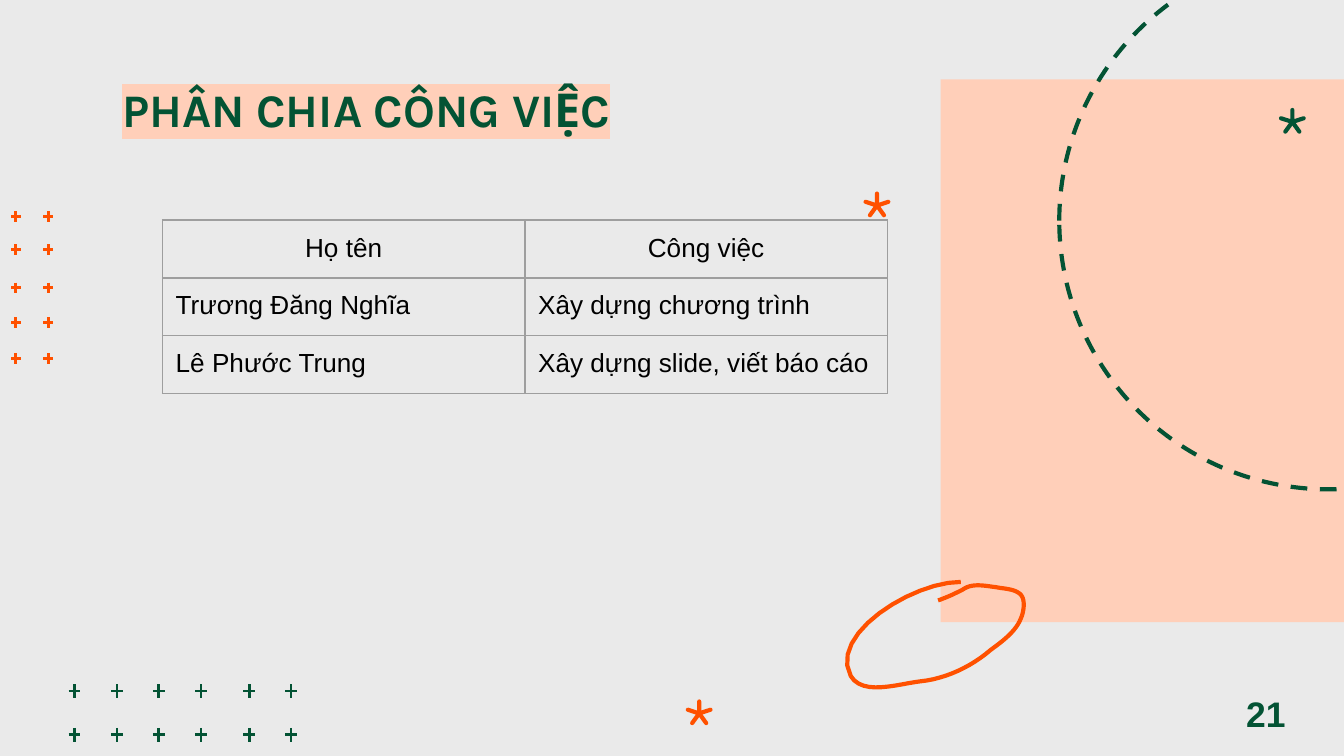
from dataclasses import dataclass
from itertools import product

from lxml import etree
from pptx import Presentation
from pptx.dml.color import RGBColor
from pptx.enum import dml, shapes, text
from pptx.oxml import ns
from pptx.util import Cm, Pt


@dataclass(frozen=True)
class Theme:
    paper: str = "EAEAEA"
    green: str = "035334"
    orange: str = "FF5100"
    peach: str = "FFCFB9"
    ink: str = "000000"
    grid: str = "9E9E9E"
    title_font: str = "Karla"
    body_font: str = "Arial"
    title_size: int = 25
    number_size: int = 19
    table_size: int = 14
    thin: float = 1.5
    thick: float = 2.25


THEME = Theme()
ROWS = [
    ("Họ tên", "Công việc"),
    ("Trương Đăng Nghĩa", "Xây dựng chương trình"),
    ("Lê Phước Trung", "Xây dựng slide, viết báo cáo"),
]
# Hand-drawn loop in cm: a start, then two control points and an end per curve
LOOP_START = (18.16, 11)
LOOP_CURVES = [
    ((17.25, 11), (15.65, 11.99), (16.08, 12.78)),
    ((16.31, 13.16), (16.97, 12.93), (17.4, 12.88)),
    ((17.88, 12.83), (18.36, 12.6), (18.72, 12.29)),
    ((18.95, 12.12), (19.2, 11.94), (19.3, 11.68)),
    ((19.35, 11.56), (19.38, 11.35), (19.3, 11.25)),
    ((19.2, 11.13), (18.97, 11.13), (18.82, 11.1)),
    ((18.59, 11.07), (18.36, 11.02), (18.19, 11.15)),
    ((18.03, 11.23), (17.88, 11.3), (17.73, 11.35)),
]


def rgb(color):
    return RGBColor.from_string(color)


def paint(shape, fill=None, line=None):
    shape.shadow.inherit = False
    if fill:
        shape.fill.solid()
        shape.fill.fore_color.rgb = rgb(fill)
    else:
        shape.fill.background()
    if line:
        shape.line.color.rgb = rgb(line)
        shape.line.width = Pt(THEME.thick)
    else:
        shape.line.fill.background()


def add_preset(page, kind, left, top, width, height, fill=None, line=None):
    shape = page.shapes.add_shape(kind, Cm(left), Cm(top), Cm(width), Cm(height))
    paint(shape, fill, line)
    return shape


def add_star(page, left, top, color):
    star = add_preset(page, shapes.MSO_SHAPE.STAR_5_POINT, left, top, 0.43, 0.41, color, color)
    star.adjustments[0] = 0


def add_line(page, x1, y1, x2, y2, color):
    line = page.shapes.add_connector(
        shapes.MSO_CONNECTOR.STRAIGHT, Cm(x1), Cm(y1), Cm(x2), Cm(y2))
    line.line.color.rgb = rgb(color)
    line.line.width = Pt(THEME.thin)
    etree.SubElement(line._element.spPr, ns.qn("a:effectLst"))


def add_pluses(page, columns, rows, half_width, half_height, color):
    for y, x in product(rows, columns):
        add_line(page, x, y - half_height, x, y + half_height, color)
        add_line(page, x - half_width, y, x + half_width, y, color)


def curve_points(start, curves, steps=12):
    points = []
    for first, second, end in curves:
        for step in range(1, steps + 1):
            t = step / steps
            weights = ((1 - t) ** 3, 3 * t * (1 - t) ** 2, 3 * t * t * (1 - t), t ** 3)
            corners = (start, first, second, end)
            points.append(tuple(
                Cm(sum(w * corner[axis] for w, corner in zip(weights, corners)))
                for axis in (0, 1)))
        start = end
    return points


def add_loop(page):
    builder = page.shapes.build_freeform(Cm(LOOP_START[0]), Cm(LOOP_START[1]))
    builder.add_line_segments(curve_points(LOOP_START, LOOP_CURVES), close=False)
    paint(builder.convert_to_shape(), line=THEME.orange)


def style_text(frame, font, size, color, bold=False, align=text.PP_ALIGN.LEFT):
    for para in frame.paragraphs:
        para.alignment = align
        for span in para.runs:
            span.font.name = font
            span.font.size = Pt(size)
            span.font.bold = bold
            span.font.color.rgb = rgb(color)


def set_margins(target, margin):
    target.margin_left = target.margin_right = Cm(margin)
    target.margin_top = target.margin_bottom = Cm(margin)


def highlight(span, color):
    mark = etree.Element(ns.qn("a:highlight"))
    etree.SubElement(mark, ns.qn("a:srgbClr"), val=color)
    span.font._element.find(ns.qn("a:solidFill")).addnext(mark)


def fill_title(page):
    title = page.shapes.title
    title.left, title.top, title.width, title.height = Cm(2.06), Cm(1.27), Cm(13.28), Cm(2.46)
    frame = title.text_frame
    frame.text = "PHÂN CHIA CÔNG VIỆC"
    frame.vertical_anchor = text.MSO_ANCHOR.TOP
    frame.auto_size = text.MSO_AUTO_SIZE.NONE
    set_margins(frame, 0.25)
    style_text(frame, THEME.title_font, THEME.title_size, THEME.green, bold=True)
    highlight(frame.paragraphs[0].runs[0], THEME.peach)


def add_page_number(page, number):
    box = page.shapes.add_textbox(Cm(22.96), Cm(13.08), Cm(1.93), Cm(0.79))
    frame = box.text_frame
    frame.word_wrap = True
    frame.text = number
    frame.vertical_anchor = text.MSO_ANCHOR.MIDDLE
    set_margins(frame, 0.25)
    style_text(frame, THEME.body_font, THEME.number_size, THEME.green, True,
               text.PP_ALIGN.CENTER)


def add_borders(cell):
    properties = cell._tc.get_or_add_tcPr()
    for index, side in enumerate(("lnL", "lnR", "lnT", "lnB")):
        border = etree.Element(ns.qn(f"a:{side}"), w=str(Pt(0.75)))
        fill = etree.SubElement(border, ns.qn("a:solidFill"))
        etree.SubElement(fill, ns.qn("a:srgbClr"), val=THEME.grid)
        properties.insert(index, border)


def add_work_table(page):
    table = page.shapes.add_table(
        len(ROWS), 2, Cm(3.07), Cm(4.16), Cm(13.7), Cm(3.09)).table
    table.first_row = table.horz_banding = False
    for row, values in enumerate(ROWS):
        align = text.PP_ALIGN.LEFT if row else text.PP_ALIGN.CENTER
        for column, value in enumerate(values):
            cell = table.cell(row, column)
            cell.text_frame.text = value
            cell.fill.background()
            set_margins(cell, 0.25)
            style_text(cell.text_frame, THEME.body_font, THEME.table_size, THEME.ink,
                       align=align)
            add_borders(cell)


def main():
    deck = Presentation()
    deck.slide_width, deck.slide_height = Cm(25.4), Cm(14.29)
    page = deck.slides.add_slide(deck.slide_layouts[5])
    page.background.fill.solid()
    page.background.fill.fore_color.rgb = rgb(THEME.paper)

    # Plus patterns on the left and at the bottom
    add_pluses(page, (0.3, 0.91), (4.09, 4.72, 5.44, 6.1, 6.78), 0.09, 0.1, THEME.orange)
    add_pluses(page, (1.41, 2.21, 3, 3.8, 4.71, 5.5), (13.06, 13.89), 0.11, 0.13, THEME.green)

    # Peach panel, dashed ring and loop
    add_preset(page, shapes.MSO_SHAPE.RECTANGLE, 17.78, 1.5, 9, 10.26, THEME.peach)
    ring = add_preset(page, shapes.MSO_SHAPE.OVAL, 20.02, -0.91, 10.16, 10.16,
                      line=THEME.green)
    ring.line.dash_style = dml.MSO_LINE.DASH
    add_loop(page)

    # Stars
    add_star(page, 13, 13.26, THEME.orange)
    add_star(page, 16.36, 3.66, THEME.orange)
    add_star(page, 24.21, 2.08, THEME.green)

    # Title, page number and table
    fill_title(page)
    add_page_number(page, "21")
    add_work_table(page)
    deck.save("out.pptx")


if __name__ == "__main__":
    main()
